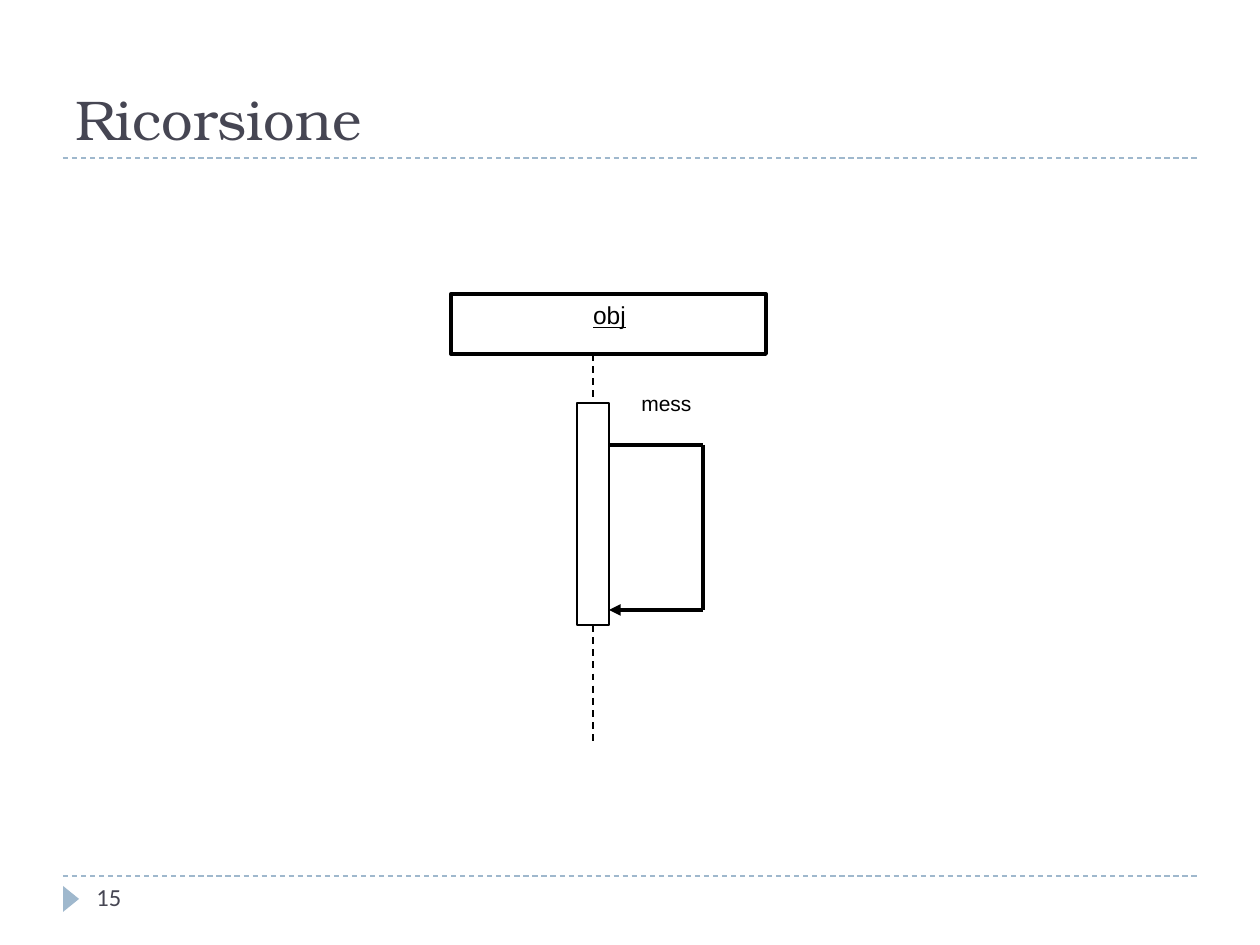
from lxml import etree
from pptx import Presentation
from pptx import util as u
from pptx.dml.color import RGBColor
from pptx.enum import dml, shapes, text
from pptx.oxml.ns import qn

PX = 914400 // 126
COLORS = {"ink": "000000", "title": "464653", "accent": "9FB8CD", "paper": "FFFFFF"}

TITLE = ("Ricorsione", (63, 32, 1134, 126),
         {"size": 32, "name": "TeX Gyre Bonum", "color": "title"}, "left", "bottom")
LABELS = [
    ("15", (84, 876, 273, 50), {"size": 14, "name": "Calibri", "color": "title"}, "left", "top"),
    ("mess", (470, 384, 393, 54), {"size": 12, "name": "Arial", "color": "ink"}, "center", "top"),
    ("obj", (566, 294, 87, 60),
     {"size": 14, "name": "Arial", "color": "ink", "underline": True}, "center", "top"),
]

RULES = [876, 158]
MARKER = (58, 891, 26, 16)
OBJECT_BOX = (451, 294, 315, 60)
ACTIVATION = (577, 403, 32, 222)
LIFELINE_END = 746
LOOP_RIGHT, LOOP_TOP, LOOP_BOTTOM = 703, 445, 610


def px(*values):
    return [value * PX for value in values]


def color(name):
    return RGBColor.from_string(COLORS[name])


def write(shape, content, font, align, anchor):
    frame = shape.text_frame
    frame.word_wrap = True
    frame.vertical_anchor = {"top": text.MSO_ANCHOR.TOP, "bottom": text.MSO_ANCHOR.BOTTOM}[anchor]
    paragraph = frame.paragraphs[0]
    paragraph.alignment = {"left": text.PP_ALIGN.LEFT, "center": text.PP_ALIGN.CENTER}[align]
    run = paragraph.add_run()
    run.text = content
    for key, value in font.items():
        if key == "color":
            run.font.color.rgb = color(value)
        else:
            setattr(run.font, key, u.Pt(value) if key == "size" else value)


def add_line(slide, ends, width, name="ink", dashed=False, arrow=False):
    connector = slide.shapes.add_connector(shapes.MSO_CONNECTOR.STRAIGHT, *px(*ends))
    connector.line.color.rgb = color(name)
    connector.line.width = u.Pt(width)
    if dashed:
        connector.line.dash_style = dml.MSO_LINE.DASH
    if arrow:
        line = connector.line._get_or_add_ln()
        etree.SubElement(line, qn("a:tailEnd"), type="triangle")
    etree.SubElement(connector._element.spPr, qn("a:effectLst"))


def add_box(slide, kind, place, fill=None, line_width=None):
    shape = slide.shapes.add_shape(kind, *px(*place))
    shape.shadow.inherit = False
    if fill:
        shape.fill.solid()
        shape.fill.fore_color.rgb = color(fill)
    else:
        shape.fill.background()
    if line_width:
        shape.line.color.rgb = color("ink")
        shape.line.width = u.Pt(line_width)
    else:
        shape.line.fill.background()
    return shape


def main():
    presentation = Presentation()
    presentation.slide_width, presentation.slide_height = u.Inches(10), u.Inches(7.5)
    slide = presentation.slides.add_slide(presentation.slide_layouts[5])

    for y in RULES:
        add_line(slide, (63, y, 1197, y), 0.75, "accent", dashed=True)
    marker = add_box(slide, shapes.MSO_SHAPE.ISOSCELES_TRIANGLE, MARKER, "accent")
    marker.rotation = 90

    content, place, *style = TITLE
    title = slide.shapes.title
    title.left, title.top, title.width, title.height = px(*place)
    write(title, content, *style)
    for content, place, *style in LABELS:
        write(slide.shapes.add_textbox(*px(*place)), content, *style)

    add_box(slide, shapes.MSO_SHAPE.RECTANGLE, OBJECT_BOX, line_width=2.25)
    add_box(slide, shapes.MSO_SHAPE.RECTANGLE, ACTIVATION, "paper", 0.75)

    left, top, width, height = ACTIVATION
    axis, right, bottom = left + width // 2, left + width, top + height
    for start, end in [(OBJECT_BOX[1] + OBJECT_BOX[3], top), (bottom, LIFELINE_END)]:
        add_line(slide, (axis, start, axis, end), 1, dashed=True)
    add_line(slide, (LOOP_RIGHT, LOOP_TOP, right, LOOP_TOP), 2.25)
    add_line(slide, (LOOP_RIGHT, LOOP_TOP, LOOP_RIGHT, LOOP_BOTTOM), 2.25)
    add_line(slide, (LOOP_RIGHT, LOOP_BOTTOM, right, LOOP_BOTTOM), 2.25, arrow=True)

    presentation.save("out.pptx")


if __name__ == "__main__":
    main()
